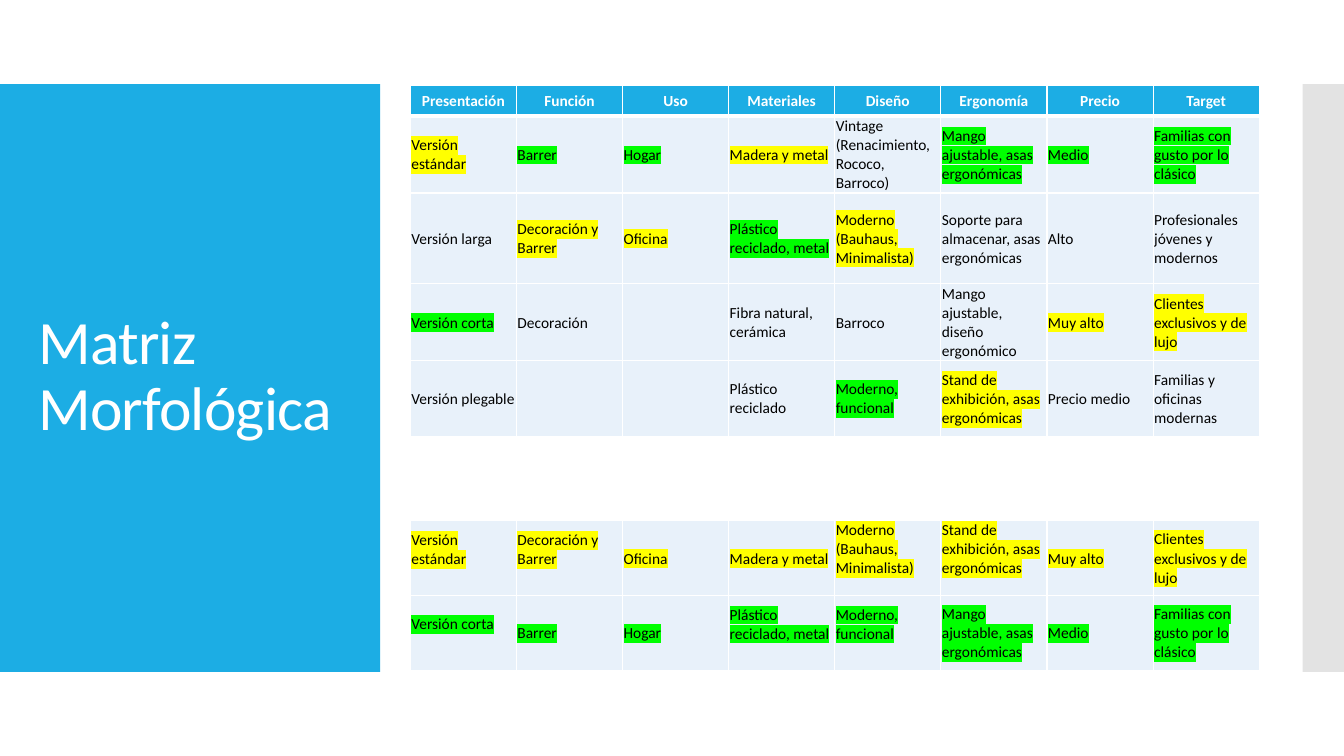
"""Build the morphological matrix slide with its two chosen combinations."""
from dataclasses import dataclass

from lxml.etree import SubElement
from pptx import Presentation
from pptx.dml.color import RGBColor as Color
from pptx.enum.shapes import MSO_SHAPE as Shape
from pptx.enum.text import MSO_ANCHOR as Anchor, PP_ALIGN as Align
from pptx.oxml.ns import qn
from pptx.util import Inches, Pt


@dataclass(frozen=True)
class Theme:
    font: str = "Calibri"
    title_size: int = 44
    cell_size: int = 11
    accent: str = "1CADE4"
    side: str = "E3E3E3"
    body: str = "E8F1FA"
    light: str = "FFFFFF"
    dark: str = "000000"
    yellow: str = "FFFF00"
    green: str = "00FF00"


theme = Theme()
headers = ["Presentación", "Función", "Uso", "Materiales", "Diseño", "Ergonomía", "Precio", "Target"]
options = [
    ["Versión estándar", "Barrer", "Hogar", "Madera y metal", "Vintage (Renacimiento, Rococo, Barroco)",
     "Mango ajustable, asas ergonómicas", "Medio", "Familias con gusto por lo clásico"],
    ["Versión larga", "Decoración y Barrer", "Oficina", "Plástico reciclado, metal",
     "Moderno (Bauhaus, Minimalista)", "Soporte para almacenar, asas ergonómicas", "Alto",
     "Profesionales jóvenes y modernos"],
    ["Versión corta", "Decoración", "", "Fibra natural, cerámica", "Barroco",
     "Mango ajustable, diseño ergonómico", "Muy alto", "Clientes exclusivos y de lujo"],
    ["Versión plegable", "", "", "Plástico reciclado", "Moderno, funcional",
     "Stand de exhibición, asas ergonómicas", "Precio medio", "Familias y oficinas modernas"],
]
choices = {theme.yellow: [0, 1, 1, 0, 1, 3, 2, 2], theme.green: [2, 0, 0, 1, 3, 0, 0, 0]}
raised_columns = {theme.yellow: [0, 1, 4, 5], theme.green: [0, 3, 4]}


def style_cell(cell, text, highlight=None, header=False, raised=False):
    cell.vertical_anchor = Anchor.MIDDLE
    cell.margin_left = cell.margin_right = cell.margin_top = Inches(0.01)
    cell.margin_bottom = Inches(0.18 if raised else 0)
    properties = cell._tc.get_or_add_tcPr()
    for edge in ("lnL", "lnR", "lnT", "lnB"):
        width = Pt(3 if header and edge == "lnB" else 1)
        line = SubElement(properties, qn(f"a:{edge}"), w=str(width))
        SubElement(SubElement(line, qn("a:solidFill")), qn("a:srgbClr"), val=theme.light)
    cell.fill.solid()
    cell.fill.fore_color.rgb = Color.from_string(theme.accent if header else theme.body)
    paragraph = cell.text_frame.paragraphs[0]
    paragraph.alignment = Align.CENTER if header else Align.LEFT
    paragraph.font.name = theme.font
    paragraph.font.size = Pt(theme.cell_size)
    paragraph.font.bold = header
    paragraph.font.color.rgb = Color.from_string(theme.light if header else theme.dark)
    if text:
        run = paragraph.add_run()
        run.text = text
        if highlight:
            mark = SubElement(run._r.get_or_add_rPr(), qn("a:highlight"))
            SubElement(mark, qn("a:srgbClr"), val=highlight)


def add_grid(slide, top, heights):
    shape = slide.shapes.add_table(len(heights), len(headers), Inches(4.07), Inches(top),
                                   Inches(8.42), Inches(sum(heights)))
    for row, height in zip(shape.table.rows, heights):
        row.height = Inches(height)
    return shape.table


presentation = Presentation()
presentation.slide_width, presentation.slide_height = Inches(13.33), Inches(7.5)
page_width, page_height = presentation.slide_width, presentation.slide_height
slide = presentation.slides.add_slide(presentation.slide_layouts[5])

band_top, band_height = page_height // 9, page_height * 7 // 9
side_left = Inches(12.92)
for left, width, color in [(0, Inches(3.77), theme.accent), (side_left, page_width - side_left, theme.side)]:
    panel = slide.shapes.add_shape(Shape.RECTANGLE, left, band_top, width, band_height)
    panel.shadow.inherit = False
    panel.fill.solid()
    panel.fill.fore_color.rgb = Color.from_string(color)
    panel.line.fill.background()

title = slide.shapes.title
slide.shapes._spTree.append(title._element)
title.left, title.top, title.width, title.height = map(Inches, (0.28, 1.23, 3.22, 5.03))
title.text_frame.word_wrap = True
title.text_frame.vertical_anchor = Anchor.MIDDLE
paragraph = title.text_frame.paragraphs[0]
paragraph.alignment = Align.LEFT
paragraph.line_spacing = 0.9
paragraph.font.name = theme.font
paragraph.font.size = Pt(theme.title_size)
paragraph.font.color.rgb = Color.from_string(theme.light)
title_run = paragraph.add_run()
title_run.text = "Matriz Morfológica"
title_run._r.get_or_add_rPr().set("spc", "-60")

matrix = add_grid(slide, 0.85, [0.3, 0.75, 0.9, 0.75, 0.75])
for column, header in enumerate(headers):
    style_cell(matrix.cell(0, column), header, header=True)
    for row, option in enumerate(options):
        chosen = [color for color, picks in choices.items() if picks[column] == row]
        style_cell(matrix.cell(row + 1, column), option[column], chosen[0] if chosen else None)

for index, (color, picks) in enumerate(choices.items()):
    combination = add_grid(slide, 5.16 + 0.75 * index, [0.74])
    for column, row in enumerate(picks):
        style_cell(combination.cell(0, column), options[row][column], color,
                   raised=column in raised_columns[color])

presentation.save("out.pptx")
